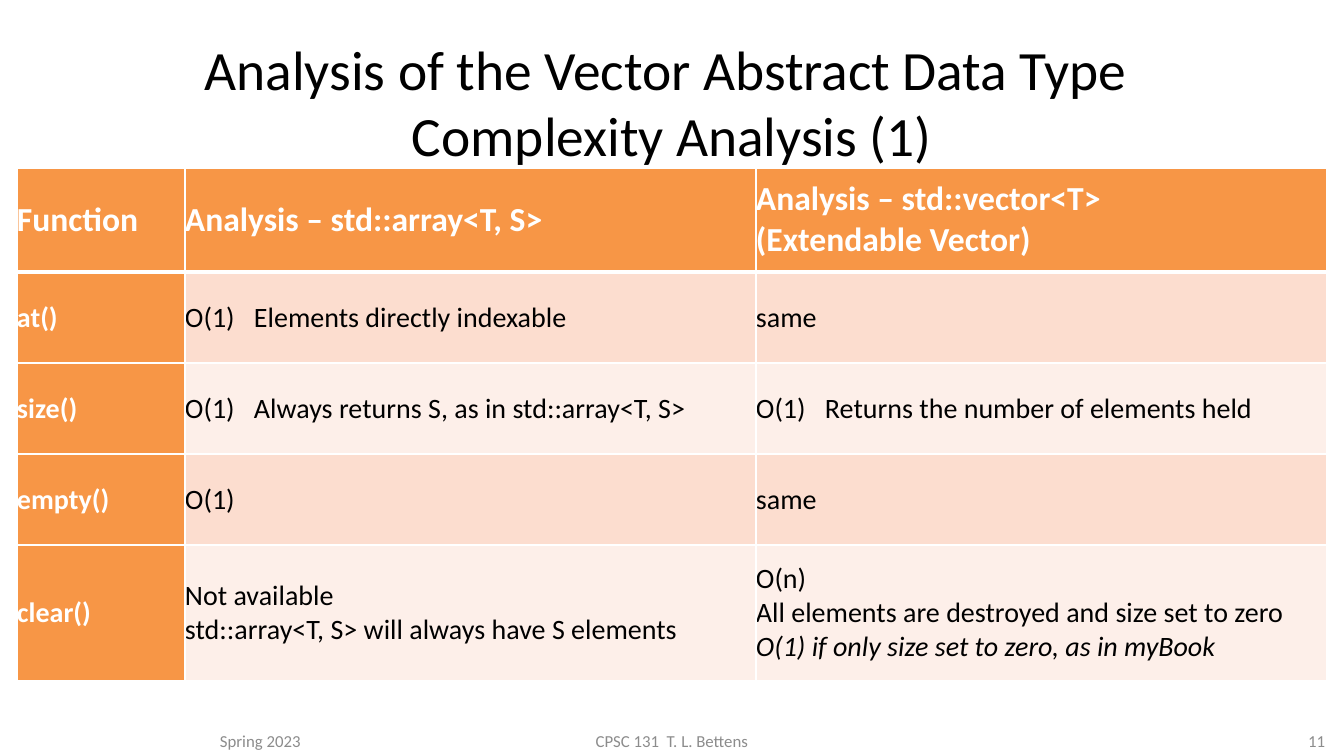
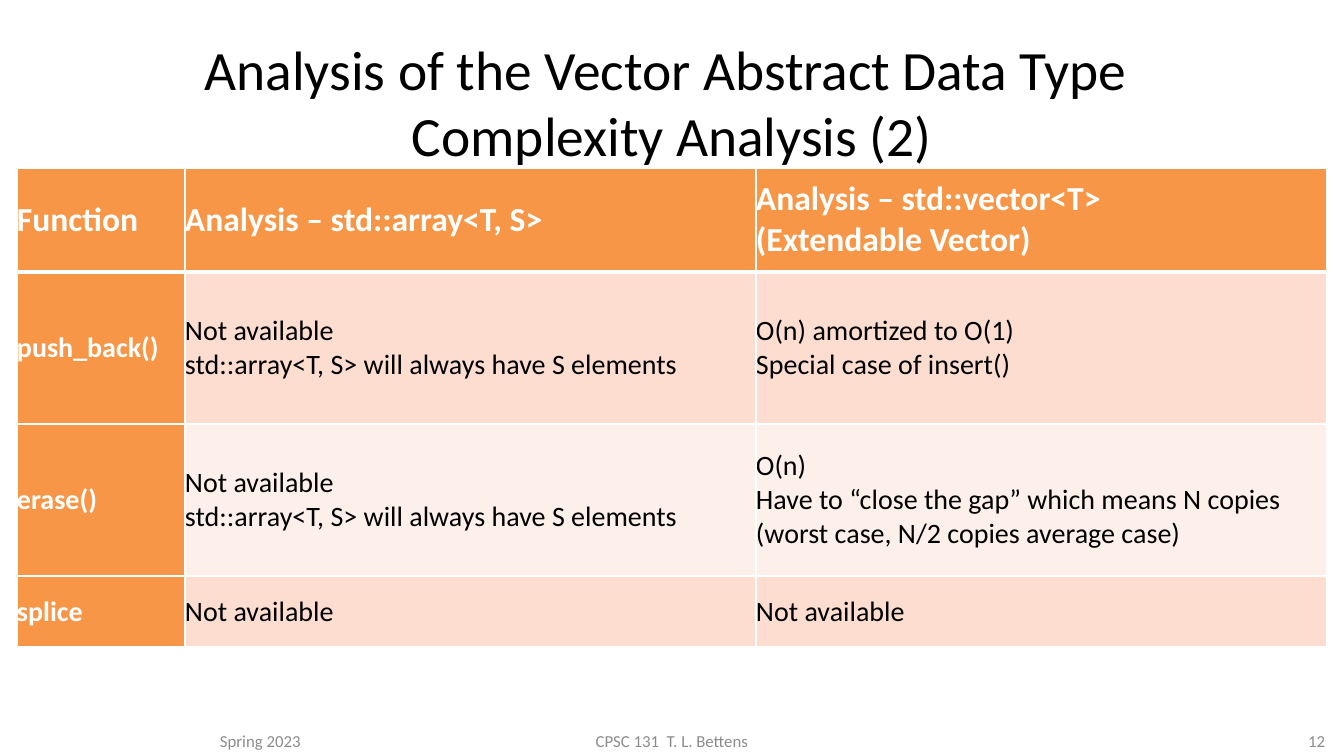
from dataclasses import dataclass

from lxml import etree
from pptx import Presentation
from pptx.dml.color import RGBColor
from pptx.enum.text import MSO_ANCHOR, PP_ALIGN
from pptx.oxml.ns import qn
from pptx.util import Emu, Pt


@dataclass(frozen=True)
class Theme:
    font: str = "Calibri"
    black: str = "000000"
    white: str = "FFFFFF"
    gray: str = "8C8C8C"
    accent: str = "F79646"
    bands: tuple = ("FCDDCF", "FDEFE9")
    title_size: float = 39.6
    header_size: float = 24
    body_size: float = 20
    footer_size: float = 12
    rule: float = 1
    header_rule: float = 3


class Italic(str):
    pass


def px(pixels):
    return Emu(round(pixels * 914400 / 100.8))


class Deck:
    def __init__(self, theme):
        self.theme = theme
        self.prs = Presentation()
        self.prs.slide_width, self.prs.slide_height = px(1344), px(756)
        self.slide = None

    def new_slide(self, title, number):
        self.slide = self.prs.slides.add_slide(self.prs.slide_layouts[6])
        t = self.theme
        footers = [
            (210, 235, "Spring 2023", PP_ALIGN.LEFT),
            (445, 454, "CPSC 131  T. L. Bettens", PP_ALIGN.CENTER),
            (1033, 302, str(number), PP_ALIGN.RIGHT),
        ]
        for left, width, text, align in footers:
            self.text((left, 701, width, 55), text, t.footer_size, t.gray, align, MSO_ANCHOR.BOTTOM)
        self.text((17, 30, 1310, 126), title, t.title_size, t.black, PP_ALIGN.CENTER, MSO_ANCHOR.TOP)

    def text(self, box, text, size, color, align, anchor):
        frame = self.slide.shapes.add_textbox(*map(px, box)).text_frame
        frame.word_wrap = True
        frame.vertical_anchor = anchor
        self.fill_text(frame, [text], size, color, align=align)

    def fill_text(self, frame, lines, size, color, bold=False, align=PP_ALIGN.LEFT):
        for i, line in enumerate(lines):
            paragraph = frame.paragraphs[0] if i == 0 else frame.add_paragraph()
            paragraph.text = line
            paragraph.alignment = align
            if "\t" in line:
                self.tab_stop(paragraph, 69)
            for run in paragraph.runs:
                font = run.font
                font.name, font.size, font.bold = self.theme.font, Pt(size), bold
                font.italic = isinstance(line, Italic)
                font.color.rgb = RGBColor.from_string(color)

    def tab_stop(self, paragraph, position):
        stops = etree.SubElement(paragraph._p.get_or_add_pPr(), qn("a:tabLst"))
        etree.SubElement(stops, qn("a:tab"), pos=str(px(position)), algn="l")

    def borders(self, cell, top, bottom):
        rule = self.theme.rule
        properties = cell._tc.get_or_add_tcPr()
        for i, (side, width) in enumerate(zip("LRTB", (rule, rule, top, bottom))):
            line = etree.Element(qn(f"a:ln{side}"), w=str(Pt(width)))
            fill = etree.SubElement(line, qn("a:solidFill"))
            etree.SubElement(fill, qn("a:srgbClr"), val=self.theme.white)
            properties.insert(i, line)

    def table(self, left, top, widths, heights, rows):
        box = (left, top, sum(widths), sum(heights))
        table = self.slide.shapes.add_table(len(rows), len(widths), *map(px, box)).table
        for column, width in zip(table.columns, widths):
            column.width = px(width)
        for row, height in zip(table.rows, heights):
            row.height = px(height)
        for r, row in enumerate(rows):
            for c, lines in enumerate(row):
                self.cell(table.cell(r, c), lines, r, c)

    def cell(self, cell, lines, row, column):
        t = self.theme
        heading = row == 0 or column == 0
        cell.margin_left = cell.margin_right = cell.margin_top = cell.margin_bottom = 0
        cell.vertical_anchor = MSO_ANCHOR.MIDDLE
        cell.fill.solid()
        fill = t.accent if heading else t.bands[(row - 1) % 2]
        cell.fill.fore_color.rgb = RGBColor.from_string(fill)
        self.borders(cell, t.header_rule if row == 1 else t.rule, t.header_rule if row == 0 else t.rule)
        size = t.header_size if row == 0 else t.body_size
        self.fill_text(cell.text_frame, lines, size, t.white if heading else t.black, bold=heading)


HEADER = [
    ["Function"],
    ["Analysis – std::array<T, S>"],
    ["Analysis – std::vector<T>", "(Extendable Vector)"],
]
HEADER_HEIGHT = 104
COLUMN_WIDTHS = [168, 571, 571]
FIXED_SIZE = ["Not available", "std::array<T, S> will always have S elements"]

ANALYSES = [
    ([91, 91, 91, 136], [
        [["at()"], ["O(1)\tElements directly indexable"], ["same"]],
        [["size()"], ["O(1)\tAlways returns S, as in std::array<T, S>"],
         ["O(1)\tReturns the number of elements held"]],
        [["empty()"], ["O(1)"], ["same"]],
        [["clear()"], FIXED_SIZE,
         ["O(n)", "All elements are destroyed and size set to zero",
          Italic("O(1) if only size set to zero, as in myBook")]],
    ]),
    ([152, 152, 71], [
        [["push_back()"], FIXED_SIZE, ["O(n) amortized to O(1)", "Special case of insert()"]],
        [["erase()"], FIXED_SIZE,
         ["O(n)", "Have to “close the gap” which means N copies (worst case, N/2 copies average case)"]],
        [["splice"], ["Not available"], ["Not available"]],
    ]),
]

deck = Deck(Theme())
for part, (heights, rows) in enumerate(ANALYSES, start=1):
    title = f"Analysis of the Vector Abstract Data Type \vComplexity Analysis ({part})"
    deck.new_slide(title, 10 + part)
    deck.table(17, 168, COLUMN_WIDTHS, [HEADER_HEIGHT, *heights], [HEADER, *rows])
deck.prs.save("out.pptx")
